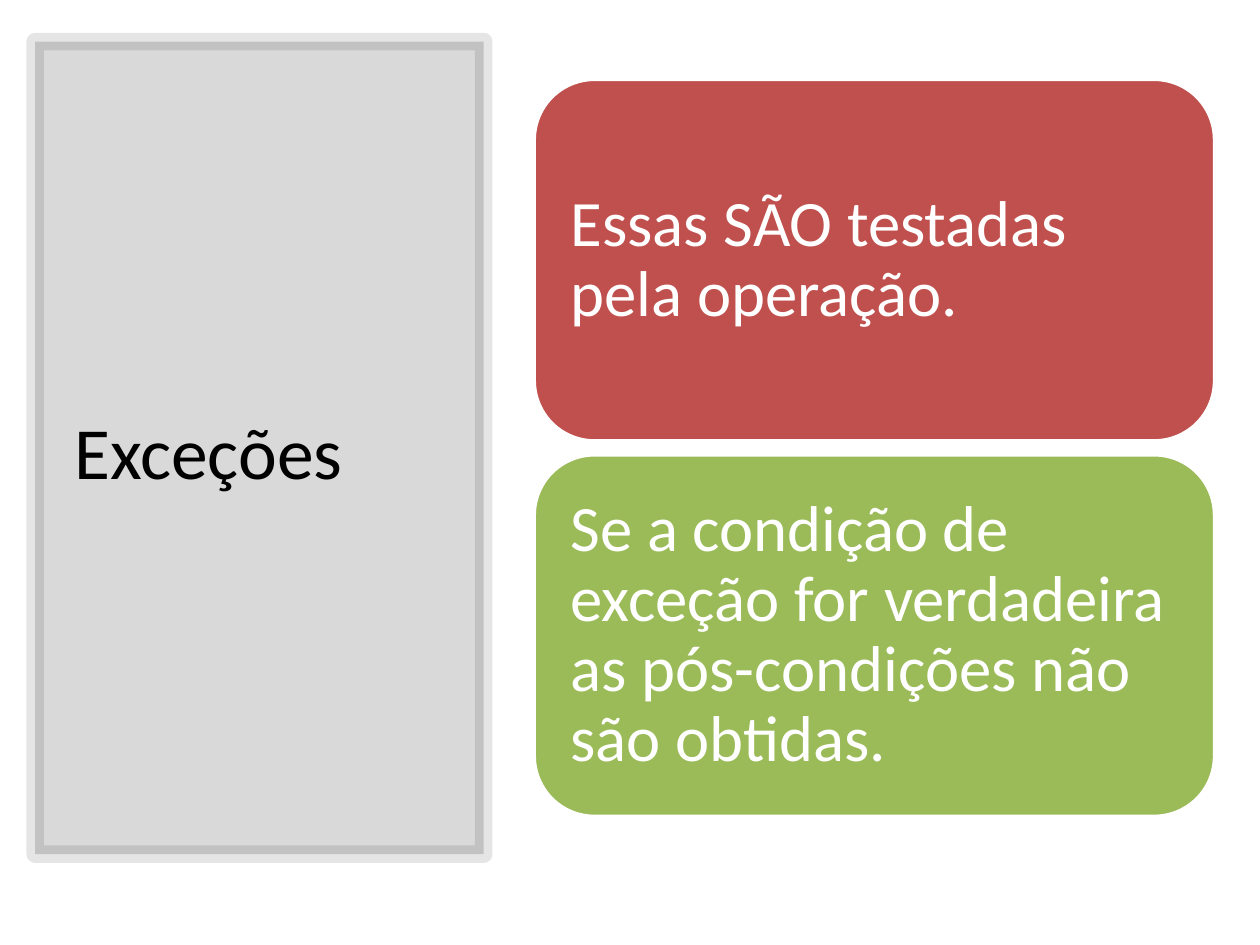
from dataclasses import dataclass

from lxml.etree import SubElement
from pptx import Presentation
from pptx.dml.color import RGBColor
from pptx.enum.shapes import MSO_SHAPE
from pptx.enum.text import MSO_ANCHOR, MSO_AUTO_SIZE, PP_ALIGN
from pptx.oxml.ns import qn
from pptx.slide import Slide
from pptx.text.text import TextFrame
from pptx.util import Inches, Pt

BLACK = RGBColor(0x00, 0x00, 0x00)
WHITE = RGBColor(0xFF, 0xFF, 0xFF)
RED = RGBColor(0xC0, 0x50, 0x4D)
GREEN = RGBColor(0x9B, 0xBB, 0x59)
FONT = "Calibri"
CARD_TOP = 0.63
CARD_STEP = 2.98


@dataclass(frozen=True)
class Card:
    text: str
    color: RGBColor


CARDS = (
    Card("Essas SÃO testadas pela operação.", RED),
    Card("Se a condição de exceção for verdadeira as pós-condições não são obtidas.", GREEN),
)


def write_text(frame: TextFrame, text: str, size: float, color: RGBColor) -> None:
    """Write one left-aligned run in a vertically centred frame."""
    frame.word_wrap = True
    frame.auto_size = MSO_AUTO_SIZE.NONE
    frame.vertical_anchor = MSO_ANCHOR.MIDDLE
    paragraph = frame.paragraphs[0]
    paragraph.alignment = PP_ALIGN.LEFT
    run = paragraph.add_run()
    run.text = text
    run.font.name = FONT
    run.font.size = Pt(size)
    run.font.color.rgb = color


def add_panel(slide: Slide) -> None:
    """Draw the translucent panel behind the title."""
    panel = slide.shapes.add_shape(
        MSO_SHAPE.RECTANGLE, Inches(0.28), Inches(0.33), Inches(3.56), Inches(6.45)
    )
    panel.shadow.inherit = False
    panel.fill.solid()
    panel.fill.fore_color.rgb = BLACK
    panel.line.color.rgb = BLACK
    panel.line.width = Pt(10)
    colors = panel._element.spPr.iter(qn("a:srgbClr"))
    for color, percent in zip(list(colors), (15, 10)):
        SubElement(color, qn("a:alpha"), val=str(percent * 1000))
    SubElement(panel.line._get_or_add_ln(), qn("a:round"))


def add_title(slide: Slide) -> None:
    """Place the title over the panel."""
    title = slide.shapes.title
    title.left, title.top = Inches(0.49), Inches(0.7)
    title.width, title.height = Inches(3.12), Inches(5.75)
    write_text(title.text_frame, "Exceções", 42, BLACK)
    slide.shapes._spTree.append(title._element)


def add_card(slide: Slide, card: Card, top: float) -> None:
    """Draw one rounded card with its statement."""
    shape = slide.shapes.add_shape(
        MSO_SHAPE.ROUNDED_RECTANGLE, Inches(4.24), Inches(top), Inches(5.4), Inches(2.87)
    )
    shape.shadow.inherit = False
    shape.fill.solid()
    shape.fill.fore_color.rgb = card.color
    shape.line.color.rgb = WHITE
    shape.line.width = Pt(2)
    frame = shape.text_frame
    frame.margin_left = frame.margin_right = Inches(0.15)
    frame.margin_top = frame.margin_bottom = Inches(0.15)
    write_text(frame, card.text, 37, WHITE)
    frame.paragraphs[0].line_spacing = 0.9


def main() -> None:
    """Build and save the slide."""
    presentation = Presentation()
    presentation.slide_width, presentation.slide_height = Inches(10), Inches(7.5)
    slide = presentation.slides.add_slide(presentation.slide_layouts[5])
    add_panel(slide)
    add_title(slide)
    for index, card in enumerate(CARDS):
        add_card(slide, card, CARD_TOP + index * CARD_STEP)
    presentation.save("out.pptx")


if __name__ == "__main__":
    main()
